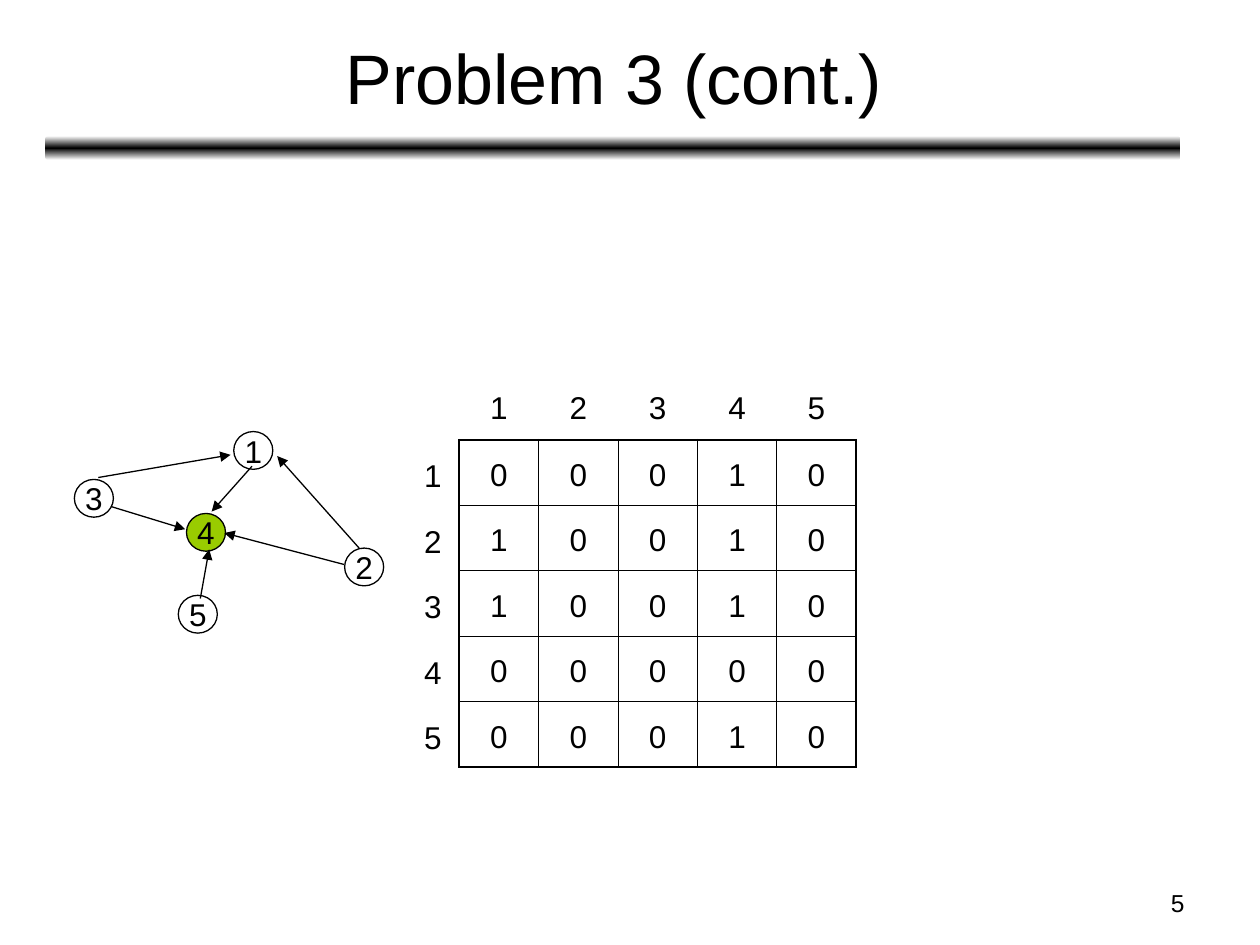
from dataclasses import dataclass

from lxml.etree import SubElement
from pptx import Presentation
from pptx.dml.color import RGBColor as RGB
from pptx.enum.shapes import MSO_CONNECTOR as CONN, MSO_SHAPE as SHAPE
from pptx.enum.text import MSO_ANCHOR as ANCHOR, PP_ALIGN as ALIGN
from pptx.oxml.ns import qn
from pptx.util import Inches, Pt


@dataclass(frozen=True)
class Theme:
    font: str = "Arial"
    ink: str = "000000"
    paper: str = "FFFFFF"
    accent: str = "99CC00"
    title: float = 40
    body: float = 18
    number: float = 14
    line: float = 0.75
    frame: float = 1.08
    rule: float = 0.45


THEME = Theme()
COLS, ROWS = 100, 75  # slide grid, one unit is a tenth of an inch

NODE_W, NODE_H = 3.1, 3
NODES = {1: (20.1, 35.75), 2: (28.9, 45), 3: (7.45, 39.55),
         4: (16.35, 42.25), 5: (15.7, 48.75)}  # centres
SINK = 4
EDGES = {
    (3, 4): (8.8, 40.2, 14.7, 42),
    (5, 4): (15.9, 47.5, 16.6, 43.6),
    (2, 4): (27.3, 44.8, 17.8, 42.3),
    (1, 4): (20, 37, 16.8, 40.6),
    (2, 1): (28.5, 43.5, 22, 36.2),
    (3, 1): (7.8, 37.9, 18.3, 36.1),
}
TABLE_X, TABLE_Y = 36.45, 34.9
CELL_W, CELL_H = 6.3, 5.2
LABEL_W, LABEL_H = 3.4, 4


def grid(*units):
    return [Inches(u / 10) for u in units]


def centred(cx, cy, w, h):
    return cx - w / 2, cy - h / 2, w, h


def write(tf, text, size, align=ALIGN.CENTER):
    tf.text = str(text)
    p = tf.paragraphs[0]
    p.alignment = align
    font = p.runs[0].font
    font.name, font.size = THEME.font, Pt(size)
    font.color.rgb = RGB.from_string(THEME.ink)


def add_text(s, text, box, size=THEME.body, align=ALIGN.CENTER):
    tf = s.shapes.add_textbox(*grid(*box)).text_frame
    tf.word_wrap = True
    tf.vertical_anchor = ANCHOR.MIDDLE
    write(tf, text, size, align)


def add_label(s, text, cx, cy):
    add_text(s, text, centred(cx, cy, LABEL_W, LABEL_H))


def add_color(parent, color):
    SubElement(parent, qn("a:srgbClr"), val=color)


def add_divider(s):
    """Bar under the title that fades to the paper colour above and below."""
    sp = s.shapes.add_shape(SHAPE.ROUNDED_RECTANGLE, *grid(3.6, 10.8, 90.1, 1.9))
    sp.shadow.inherit = False
    sp.line.fill.background()
    sp.fill.gradient()
    sp.fill.gradient_angle = 90
    stops = sp.element.spPr.find(qn("a:gradFill")).find(qn("a:gsLst"))
    stops.clear()
    for pos, color in ((0, THEME.paper), (50, THEME.ink), (100, THEME.paper)):
        add_color(SubElement(stops, qn("a:gs"), pos=str(pos * 1000)), color)


def add_node(s, name, centre):
    sp = s.shapes.add_shape(SHAPE.OVAL, *grid(*centred(*centre, NODE_W, NODE_H)))
    sp.shadow.inherit = False
    sp.line.color.rgb = RGB.from_string(THEME.ink)
    sp.line.width = Pt(THEME.line)
    if name == SINK:
        sp.fill.solid()
        sp.fill.fore_color.rgb = RGB.from_string(THEME.accent)
    else:
        sp.fill.background()
    tf = sp.text_frame
    tf.margin_left = tf.margin_right = tf.margin_top = tf.margin_bottom = 0
    tf.vertical_anchor = ANCHOR.MIDDLE
    tf.word_wrap = False
    write(tf, name, THEME.body)


def add_arrow(s, ends):
    cn = s.shapes.add_connector(CONN.STRAIGHT, *grid(*ends))
    cn.line.color.rgb = RGB.from_string(THEME.ink)
    cn.line.width = Pt(THEME.line)
    SubElement(cn.line._get_or_add_ln(), qn("a:tailEnd"), type="triangle")
    SubElement(cn.element.spPr, qn("a:effectLst"))


def set_borders(cell, outer):
    """Draw all four sides, heavier on those named in outer."""
    tc_pr = cell._tc.get_or_add_tcPr()
    for side in "LRTB":
        width = Pt(THEME.frame if side in outer else THEME.rule)
        ln = SubElement(tc_pr, qn(f"a:ln{side}"), w=str(int(width)))
        add_color(SubElement(ln, qn("a:solidFill")), THEME.ink)


def add_lattice(s, n):
    """Empty n by n table that rules the matrix."""
    box = grid(TABLE_X, TABLE_Y, n * CELL_W, n * CELL_H)
    table = s.shapes.add_table(n, n, *box).table
    table.first_row = table.horz_banding = False
    for i in range(n):
        table.rows[i].height, table.columns[i].width = grid(CELL_H, CELL_W)
        for j in range(n):
            cell = table.cell(i, j)
            sides = {"L": j == 0, "R": j == n - 1, "T": i == 0, "B": i == n - 1}
            set_borders(cell, [k for k, on in sides.items() if on])
            cell.fill.background()


def add_matrix(s, names):
    """Adjacency matrix of EDGES, with its row and column labels."""
    n = len(names)
    add_lattice(s, n)
    xs = [TABLE_X + (i + 0.5) * CELL_W for i in range(n)]
    ys = [TABLE_Y + (i + 0.5) * CELL_H + 0.1 for i in range(n)]
    for row, y in zip(names, ys):
        for col, x in zip(names, xs):
            add_label(s, int((row, col) in EDGES), x, y)
    for name, x, y in zip(names, xs, ys):
        add_label(s, name, x, TABLE_Y - 2.6)
        add_label(s, name, TABLE_X - 2.1, y + 0.1)


def main():
    prs = Presentation()
    prs.slide_width, prs.slide_height = grid(COLS, ROWS)
    s = prs.slides.add_slide(prs.slide_layouts[6])
    add_divider(s)
    add_text(s, "Problem 3 (cont.)", (3.7, 1.1, 90, 9.9), THEME.title)
    add_matrix(s, sorted(NODES))
    for name, centre in NODES.items():
        add_node(s, name, centre)
    for ends in EDGES.values():
        add_arrow(s, ends)
    add_text(s, 5, (71.7, 69.9, 23.3, 3.5), THEME.number, ALIGN.RIGHT)
    prs.save("out.pptx")


if __name__ == "__main__":
    main()
